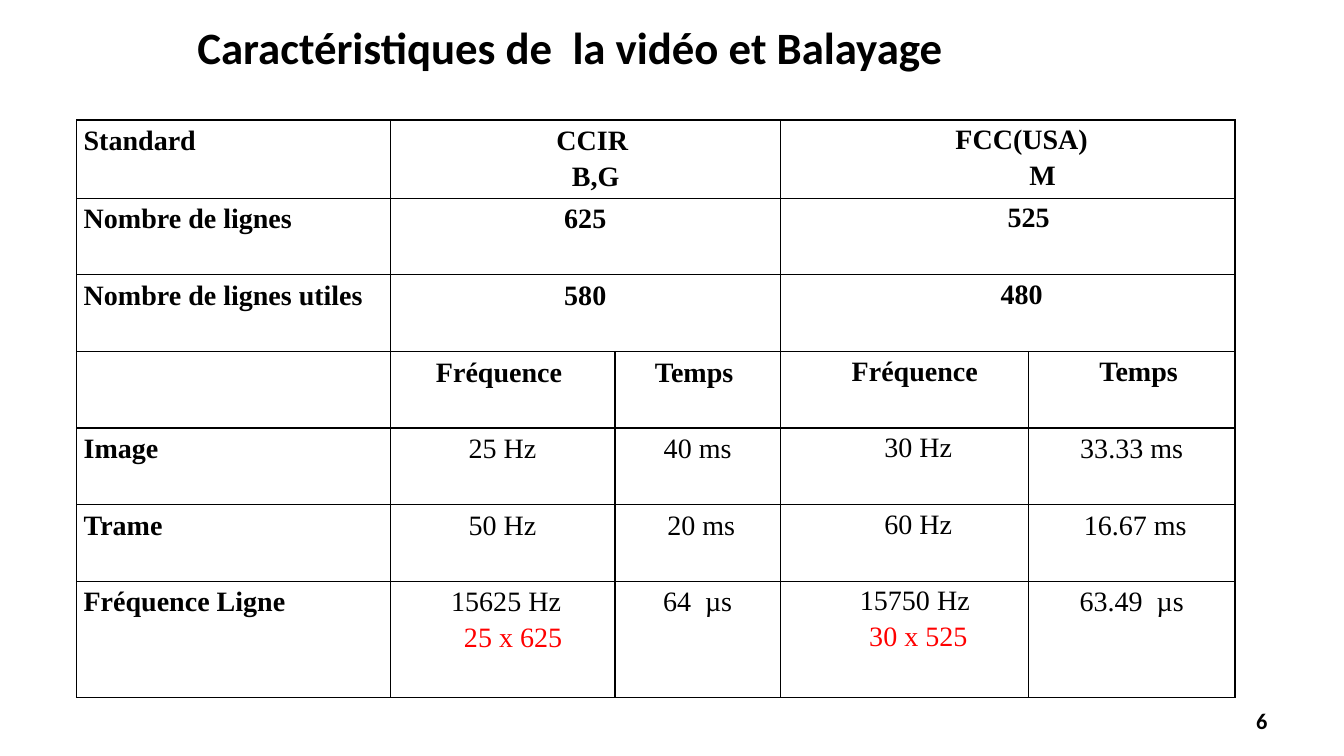
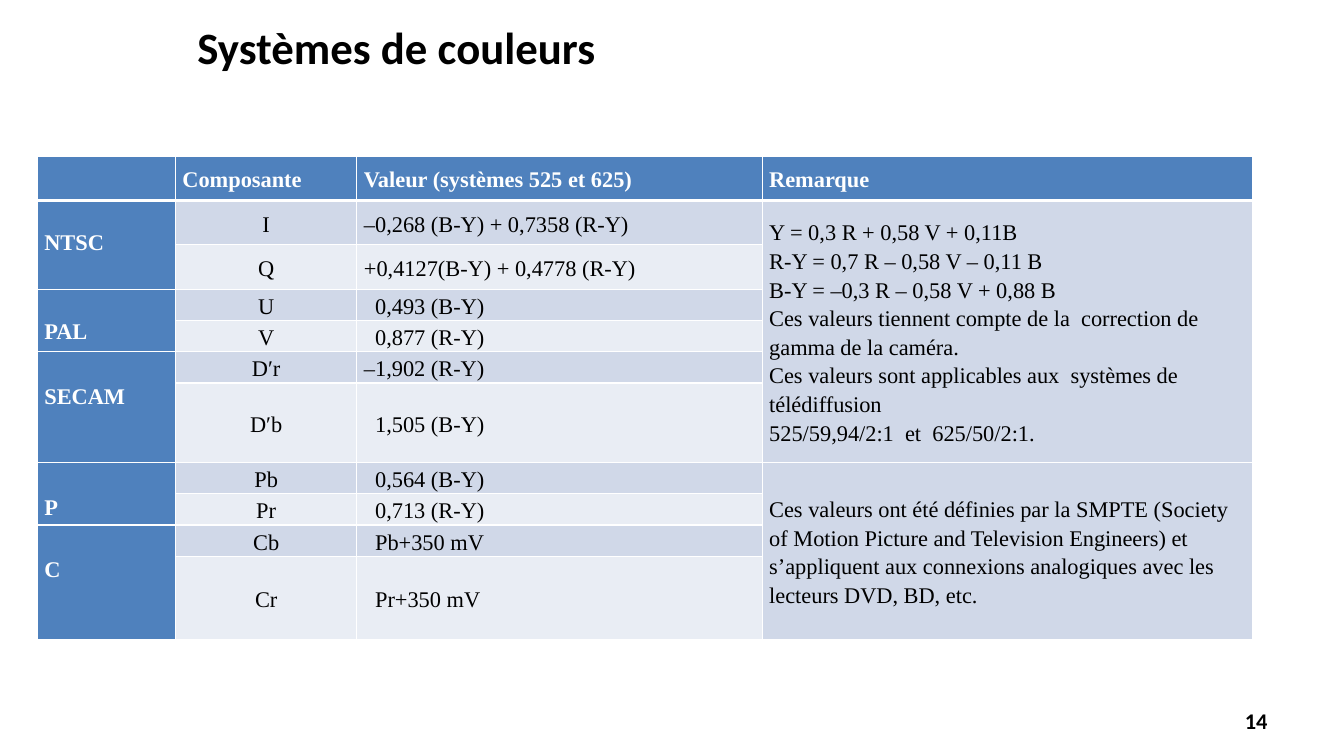
"""Build two slides on video scanning standards and colour systems."""
from dataclasses import dataclass
from functools import partial

from lxml.etree import SubElement
from pptx import Presentation
from pptx.dml.color import RGBColor
from pptx.enum.text import MSO_ANCHOR, PP_ALIGN
from pptx.oxml.ns import qn
from pptx.util import Inches, Pt

COLORS = {
    "black": "000000",
    "white": "FFFFFF",
    "red": "FF0000",
    "blue": "4F81BD",
    "band_dark": "D0D8E8",
    "band_light": "E9EDF4",
}
TITLE_FONT = "Calibri"
TABLE_FONT = "Times New Roman"
LINE_SPACING = 1.15
SIDE_MARGIN = 0.07


@dataclass(frozen=True)
class Entry:
    lines: tuple = ()
    indents: tuple = (0,)
    bold: bool = False
    color: str = "black"
    last_color: str = ""
    fill: str = "white"
    align: PP_ALIGN = PP_ALIGN.LEFT
    anchor: MSO_ANCHOR = MSO_ANCHOR.TOP
    top: float = 0
    span: tuple = (1, 1)
    bottom_line: float = 1


@dataclass(frozen=True)
class Grid:
    left: float
    top: float
    columns: tuple
    heights: tuple
    size: int
    border: str
    rows: list


def rgb(name: str) -> RGBColor:
    return RGBColor.from_string(COLORS[name])


def style_runs(para, font: str, size: int, color: str, bold: bool) -> None:
    for span in para.runs:
        span.font.name = font
        span.font.size = Pt(size)
        span.font.bold = bold
        span.font.color.rgb = rgb(color)


def add_label(page, text: str, box: tuple, size: int, align: PP_ALIGN) -> None:
    frame = page.shapes.add_textbox(*map(Inches, box)).text_frame
    frame.word_wrap = True
    frame.vertical_anchor = MSO_ANCHOR.MIDDLE
    frame.text = text
    para = frame.paragraphs[0]
    para.alignment = align
    style_runs(para, TITLE_FONT, size, "black", True)


def add_borders(cell, color: str, bottom: float) -> None:
    properties = cell._tc.get_or_add_tcPr()
    for tag, width in (("lnL", 1), ("lnR", 1), ("lnT", 1), ("lnB", bottom)):
        line = SubElement(properties, qn(f"a:{tag}"), w=str(Pt(width)))
        paint = SubElement(line, qn("a:solidFill"))
        SubElement(paint, qn("a:srgbClr"), val=COLORS[color])


def fill_cell(cell, entry: Entry, size: int, border: str) -> None:
    space = size / 4 / 72
    first = entry.indents[0]
    add_borders(cell, border, entry.bottom_line)
    cell.fill.solid()
    cell.fill.fore_color.rgb = rgb(entry.fill)
    cell.margin_left = Inches(max(0, SIDE_MARGIN + first * space))
    cell.margin_right = Inches(SIDE_MARGIN)
    cell.margin_top = Inches(entry.top)
    cell.margin_bottom = 0
    cell.vertical_anchor = entry.anchor
    cell.text_frame.text = "\n".join(entry.lines)
    paragraphs = cell.text_frame.paragraphs
    for para in paragraphs:
        para.alignment = entry.align
        para.line_spacing = LINE_SPACING
        style_runs(para, TABLE_FONT, size, entry.color, entry.bold)
    for para, indent in zip(paragraphs, entry.indents):
        if indent > first:
            offset = Inches((indent - first) * space)
            para._p.get_or_add_pPr().set("marL", str(offset))
    if entry.last_color:
        style_runs(paragraphs[-1], TABLE_FONT, size, entry.last_color, entry.bold)


def add_grid(page, grid: Grid) -> None:
    frame = page.shapes.add_table(
        len(grid.heights), len(grid.columns),
        Inches(grid.left), Inches(grid.top),
        Inches(sum(grid.columns)), Inches(sum(grid.heights)),
    )
    table = frame.table
    table.first_row = False
    table.horz_banding = False
    for column, width in zip(table.columns, grid.columns):
        column.width = Inches(width)
    for row, height in zip(table.rows, grid.heights):
        row.height = Inches(height)
    for r, entries in enumerate(grid.rows):
        for c, entry in enumerate(entries):
            cell = table.cell(r, c)
            fill_cell(cell, entry or Entry(), grid.size, grid.border)
            if entry and entry.span != (1, 1):
                rows, columns = entry.span
                cell.merge(table.cell(r + rows - 1, c + columns - 1))


def add_page(deck, title: str, number: int, grid: Grid) -> None:
    page = deck.slides.add_slide(deck.slide_layouts[6])
    add_label(page, title, (1.86, 0.14, 7.87, 0.64), 32, PP_ALIGN.LEFT)
    add_grid(page, grid)
    add_label(page, str(number), (9.56, 6.95, 3.11, 0.4), 16, PP_ALIGN.RIGHT)


def scanning_grid() -> Grid:
    def head(text: str) -> Entry:
        return Entry((text,), bold=True, top=0.01)

    def value(*lines: str, indents: tuple = (0,), **options) -> Entry:
        settings = {"top": 0.01, "align": PP_ALIGN.CENTER} | options
        return Entry(lines, indents, **settings)

    fcc = partial(value, top=0)
    wide = {"bold": True, "span": (1, 2)}
    rows = [
        [head("Standard"),
         value("CCIR", "B,G", indents=(2, 3), **wide), None,
         fcc("FCC(USA)", "M", indents=(4, 10), **wide), None],
        [head("Nombre de lignes"),
         value("625", **wide), None,
         fcc("525", indents=(6,), **wide), None],
        [head("Nombre de lignes utiles"),
         value("580", **wide), None,
         fcc("480", indents=(4,), **wide), None],
        [Entry(),
         value("Fréquence", indents=(-1,), bold=True),
         value("Temps", indents=(-1,), bold=True),
         fcc("Fréquence", indents=(3,), bold=True),
         fcc("Temps", indents=(2,), bold=True)],
        [head("Image"), value("25 Hz"), value("40 ms"),
         fcc("30 Hz", indents=(4,)), value("33.33 ms")],
        [head("Trame"), value("50 Hz"), value("20 ms", indents=(1,)),
         fcc("60 Hz", indents=(4,)), value("16.67 ms", indents=(1,))],
        [head("Fréquence Ligne"),
         value("15625 Hz", "25 x 625", indents=(1, 3), last_color="red"),
         value("64  µs"),
         fcc("15750 Hz", "30 x 525", indents=(3, 4), last_color="red"),
         value("63.49  µs")],
    ]
    return Grid(0.76, 1.19, (3.11, 2.23, 1.64, 2.46, 2.05),
                (0.77, *[0.76] * 5, 1.15), 20, "black", rows)


def colour_grid() -> Grid:
    middle = partial(Entry, anchor=MSO_ANCHOR.MIDDLE)
    blue = {"bold": True, "color": "white", "fill": "blue"}
    systems = (("NTSC", 0.26), ("PAL", 0.26), ("SECAM", 0.29), ("P", 0.29), ("C", 0.29))
    components = (
        ("I", "–0,268 (B-Y) + 0,7358 (R-Y)", 0),
        ("Q", "+0,4127(B-Y) + 0,4778 (R-Y)", 0),
        ("U", "0,493 (B-Y)", 2),
        ("V", "0,877 (R-Y)", 2),
        ("D′r", "–1,902 (R-Y)", 0),
        ("D′b", "1,505 (B-Y)", 2),
        ("Pb", "0,564 (B-Y)", 2),
        ("Pr", "0,713 (R-Y)", 2),
        ("Cb", "Pb+350 mV", 2),
        ("Cr", "Pr+350 mV", 2),
    )
    remarks = {
        0: middle((
            "Y = 0,3 R + 0,58 V + 0,11B",
            "R-Y = 0,7 R – 0,58 V – 0,11 B",
            "B-Y = –0,3 R – 0,58 V + 0,88 B",
            "Ces valeurs tiennent compte de la  correction de gamma de la caméra.",
            "Ces valeurs sont applicables aux  systèmes de télédiffusion",
            "525/59,94/2:1  et  625/50/2:1.",
        ), fill="band_dark", span=(6, 1)),
        6: middle((
            "Ces valeurs ont été définies par la SMPTE (Society of Motion Picture "
            "and Television Engineers) et s’appliquent aux connexions analogiques "
            "avec les lecteurs DVD, BD, etc.",
        ), fill="band_dark", span=(4, 1)),
    }
    headings = ("", "Composante", "Valeur (systèmes 525 et 625)", "Remarque")
    rows = [[middle((text,), bottom_line=3, **blue) for text in headings]]
    for index, (name, formula, indent) in enumerate(components):
        band = "band_light" if index % 2 else "band_dark"
        system = None
        if index % 2 == 0:
            label, top = systems[index // 2]
            system = Entry((label,), top=top, span=(2, 1), **blue)
        rows.append([
            system,
            middle((name,), fill=band, align=PP_ALIGN.CENTER),
            middle((formula,), (indent,), fill=band),
            remarks.get(index),
        ])
    heights = (*[0.44] * 3, *[0.31] * 3, 0.79, *[0.31] * 3, 0.83)
    return Grid(0.37, 1.55, (1.37, 1.8, 4.02, 4.86), heights, 16, "white", rows)


def main() -> None:
    deck = Presentation()
    deck.slide_width = Inches(13.33)
    deck.slide_height = Inches(7.5)
    add_page(deck, "Caractéristiques de  la vidéo et Balayage", 6, scanning_grid())
    add_page(deck, "Systèmes de couleurs", 14, colour_grid())
    deck.save("out.pptx")


if __name__ == "__main__":
    main()
